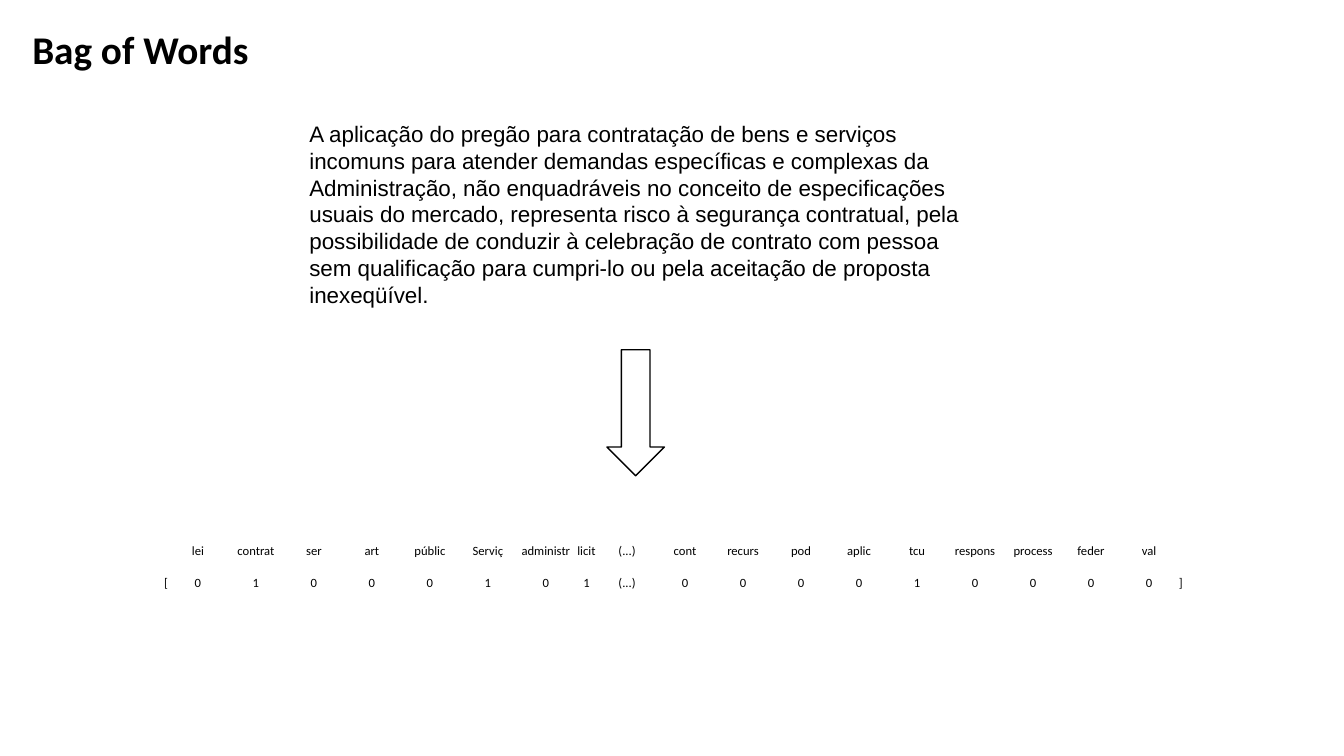
from lxml.etree import SubElement
from pptx import Presentation
from pptx.dml.color import RGBColor
from pptx.enum.shapes import MSO_SHAPE
from pptx.enum.text import MSO_ANCHOR, MSO_AUTO_SIZE, PP_ALIGN
from pptx.oxml.ns import qn
from pptx.util import Inches, Pt

COLORS = {"ink": "000000", "paper": "FFFFFF"}
EXCERPT = (
    "A aplicação do pregão para contratação de bens e serviços incomuns para "
    "atender demandas específicas e complexas da Administração, não enquadráveis "
    "no conceito de especificações usuais do mercado, representa risco à segurança "
    "contratual, pela possibilidade de conduzir à celebração de contrato com pessoa "
    "sem qualificação para cumpri-lo ou pela aceitação de proposta inexeqüível."
)
STEMS = [
    ("lei", "0"), ("contrat", "1"), ("ser", "0"), ("art", "0"), ("públic", "0"),
    ("Serviç", "1"), ("administr", "0"), ("licit", "1"), ("(...)", "(...)"),
    ("cont", "0"), ("recurs", "0"), ("pod", "0"), ("aplic", "0"), ("tcu", "1"),
    ("respons", "0"), ("process", "0"), ("feder", "0"), ("val", "0"),
]
NARROW_STEM = "licit"
NARROW_WIDTH = 0.23


def color(name):
    """Return the named palette colour."""
    return RGBColor.from_string(COLORS[name])


def write(paragraph, text, size, font_name, bold=False, align=PP_ALIGN.LEFT):
    """Add one formatted run to a paragraph."""
    paragraph.alignment = align
    run = paragraph.add_run()
    run.text = text
    run.font.size = Pt(size)
    run.font.name = font_name
    run.font.bold = bold
    run.font.color.rgb = color("ink")


def place_heading(slide, left, top, width, height):
    """Move the title placeholder into its box and fill it."""
    heading = slide.shapes.title
    heading.left, heading.top = Inches(left), Inches(top)
    heading.width, heading.height = Inches(width), Inches(height)
    frame = heading.text_frame
    frame.auto_size = MSO_AUTO_SIZE.NONE
    frame.vertical_anchor = MSO_ANCHOR.TOP
    write(frame.paragraphs[0], "Bag of Words", 28, "Calibri", bold=True)


def add_excerpt(slide, left, top, width, height):
    """Add the passage that is turned into a vector."""
    excerpt = slide.shapes.add_textbox(
        Inches(left), Inches(top), Inches(width), Inches(height))
    excerpt.text_frame.word_wrap = True
    write(excerpt.text_frame.paragraphs[0], EXCERPT, 16, "Arial")


def add_down_arrow(slide, left, top, width, height):
    """Add the outlined arrow from passage to vector."""
    arrow = slide.shapes.add_shape(
        MSO_SHAPE.DOWN_ARROW, Inches(left), Inches(top), Inches(width), Inches(height))
    arrow.shadow.inherit = False
    arrow.fill.solid()
    arrow.fill.fore_color.rgb = color("paper")
    arrow.line.color.rgb = color("ink")
    arrow.line.width = Pt(1)


def fill_vector_cell(cell, text, align):
    """Format one vector cell and write its text, if any."""
    cell.fill.background()
    cell.vertical_anchor = MSO_ANCHOR.BOTTOM
    cell.margin_left = cell.margin_right = cell.margin_top = Inches(0.01)
    cell.margin_bottom = 0
    paragraph = cell.text_frame.paragraphs[0]
    if text:
        write(paragraph, text, 9, "Calibri", align=align)
    else:
        SubElement(paragraph._p, qn("a:endParaRPr"), sz="900")


def add_word_vector(slide, left, top, width, height):
    """Add the table of stems above their bracketed counts."""
    stems, counts = zip(*STEMS)
    rows = [["", *stems, ""], [""] * (len(stems) + 2), ["[", *counts, "]"]]
    table = slide.shapes.add_table(
        len(rows), len(rows[0]),
        Inches(left), Inches(top), Inches(width), Inches(height)).table
    table.first_row = table.horz_banding = False
    regular_width = (width - NARROW_WIDTH) / (len(rows[0]) - 1)
    for column, stem in zip(table.columns, rows[0]):
        column.width = Inches(NARROW_WIDTH if stem == NARROW_STEM else regular_width)
    alignments = {"[": PP_ALIGN.RIGHT, "]": PP_ALIGN.LEFT}
    for row, texts in zip(table.rows, rows):
        row.height = Inches(height / len(rows))
        for cell, text in zip(row.cells, texts):
            fill_vector_cell(cell, text, alignments.get(text, PP_ALIGN.CENTER))


def main():
    """Build the slide and save the deck."""
    deck = Presentation()
    deck.slide_width, deck.slide_height = Inches(13.33), Inches(7.5)
    slide = deck.slides.add_slide(deck.slide_layouts[5])
    add_word_vector(slide, 1.1, 5.38, 11.16, 0.48)
    add_excerpt(slide, 2.97, 1.14, 6.67, 1.99)
    add_down_arrow(slide, 6.02, 3.47, 0.57, 1.25)
    place_heading(slide, 0.22, 0.2, 4.48, 0.57)
    deck.save("out.pptx")


if __name__ == "__main__":
    main()
